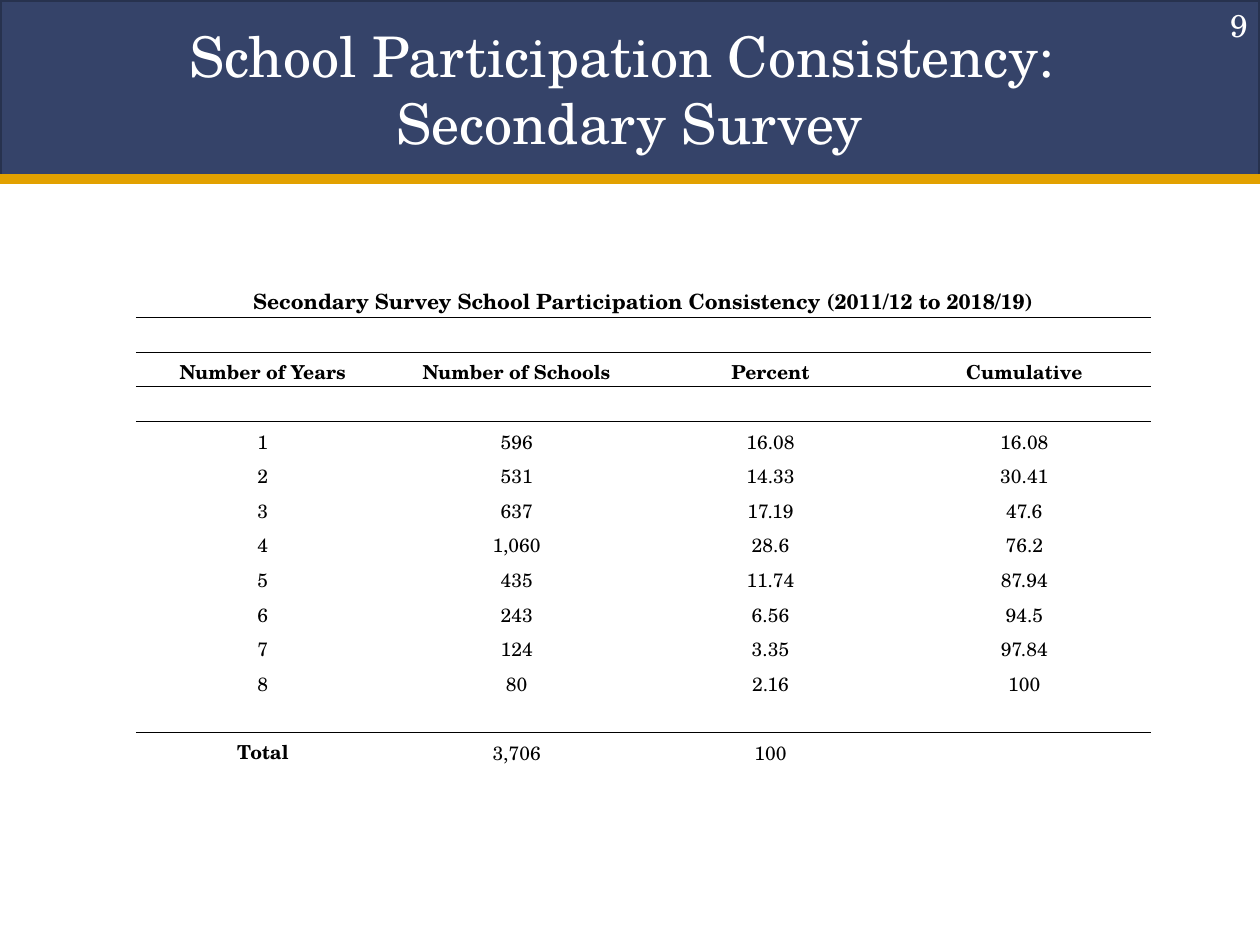
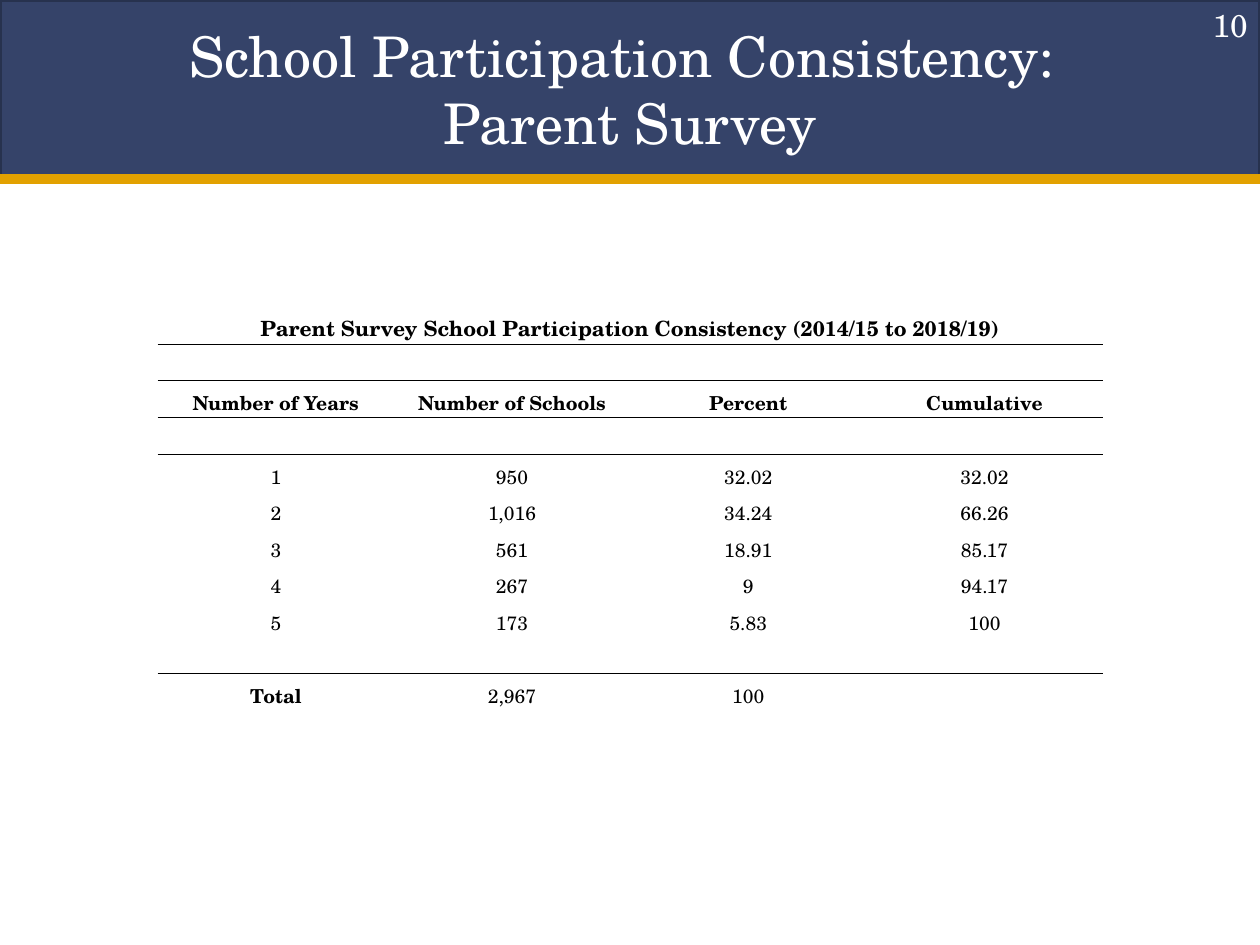
from lxml import etree
from pptx import Presentation
from pptx.dml.color import RGBColor
from pptx.enum import shapes, text
from pptx.oxml.ns import qn
from pptx.util import Cm, Pt

COLUMNS = ("Number of Years", "Number of Schools", "Percent", "Cumulative")
SURVEYS = [
    {
        "number": "9",
        "title": "School Participation Consistency: \vSecondary Survey",
        "caption": "Secondary Survey School Participation Consistency (2011/12 to 2018/19)",
        "years": [
            ("1", "596", "16.08", "16.08"),
            ("2", "531", "14.33", "30.41"),
            ("3", "637", "17.19", "47.6"),
            ("4", "1,060", "28.6", "76.2"),
            ("5", "435", "11.74", "87.94"),
            ("6", "243", "6.56", "94.5"),
            ("7", "124", "3.35", "97.84"),
            ("8", "80", "2.16", "100"),
        ],
        "total": ("Total", "3,706", "100", ""),
        "box": (2.74, 5.66, 20.47, 9.8),
    },
    {
        "number": "10",
        "title": "School Participation Consistency: \vParent Survey",
        "caption": "Parent Survey School Participation Consistency (2014/15 to 2018/19)",
        "years": [
            ("1", "950", "32.02", "32.02"),
            ("2", "1,016", "34.24", "66.26"),
            ("3", "561", "18.91", "85.17"),
            ("4", "267", "9", "94.17"),
            ("5", "173", "5.83", "100"),
        ],
        "total": ("Total", "2,967", "100", ""),
        "box": (3.18, 6.15, 19.05, 8.18),
    },
]

FONT = "TeX Gyre Schola"
NAVY = RGBColor(0x35, 0x43, 0x69)
NAVY_EDGE = RGBColor(0x27, 0x32, 0x4E)
GOLD = RGBColor(0xE2, 0xA1, 0x00)
WHITE = RGBColor(0xFF, 0xFF, 0xFF)
BLACK = RGBColor(0, 0, 0)

PAGE_WIDTH, PAGE_HEIGHT = 25.4, 19.05
BAND_HEIGHT = 3.61
TITLE_BOX = (1.27, 0.2, 22.86, 3.18)
NUMBER_BOX = (19.48, 0, 5.92, 1.02)
CAPTION_EXTRA = 0.06  # the caption row is this share taller than the others
CELL_FORMAT = {
    "margin_left": Cm(0.03),
    "margin_right": Cm(0.03),
    "margin_top": Cm(0.03),
    "margin_bottom": 0,
    "vertical_anchor": text.MSO_ANCHOR.BOTTOM,
}
NO_STYLE_NO_GRID = "{2D5ABB26-0587-4C30-8999-92F81FD0307C}"


def write(paragraph, words, align, size, color, bold=False):
    paragraph.text = words
    paragraph.alignment = align
    for run in paragraph.runs:
        formats = {"name": FONT, "size": Pt(size), "bold": bold}
        for key, value in formats.items():
            setattr(run.font, key, value)
        run.font.color.rgb = color


def add_band(slide):
    band = slide.shapes.add_shape(shapes.MSO_SHAPE.RECTANGLE, 0, 0,
                                  Cm(PAGE_WIDTH), Cm(BAND_HEIGHT))
    band.shadow.inherit = False
    band.fill.solid()
    band.fill.fore_color.rgb = NAVY
    band.line.color.rgb = NAVY_EDGE
    band.line.width = Pt(2)
    stripe = slide.shapes.add_connector(
        shapes.MSO_CONNECTOR.STRAIGHT,
        Cm(-0.05), Cm(BAND_HEIGHT), Cm(PAGE_WIDTH + 0.08), Cm(BAND_HEIGHT))
    stripe.line.color.rgb = GOLD
    stripe.line.width = Pt(6)
    etree.SubElement(stripe._element.spPr, qn("a:effectLst"))


def add_label(slide, box, words, align, size):
    frame = slide.shapes.add_textbox(*map(Cm, box)).text_frame
    frame.word_wrap = True
    frame.vertical_anchor = text.MSO_ANCHOR.MIDDLE
    write(frame.paragraphs[0], words, align, size, WHITE)


def rule_cell(cell, edge):
    """Draw a thin black border on one edge: lnT or lnB."""
    border = etree.Element(qn(f"a:{edge}"), w=str(Pt(0.5)))
    fill = etree.SubElement(border, qn("a:solidFill"))
    etree.SubElement(fill, qn("a:srgbClr"), val=str(BLACK))
    cell._tc.get_or_add_tcPr().insert(0, border)


def add_survey_table(slide, survey):
    gap = ("",) * len(COLUMNS)
    caption = (survey["caption"],) + gap[1:]
    rows = [caption, gap, COLUMNS, gap, *survey["years"], gap, survey["total"]]
    last = len(rows) - 1
    ruled_below = (0, 2, last - 1)

    left, top, width, height = survey["box"]
    table = slide.shapes.add_table(len(rows), len(COLUMNS), Cm(left), Cm(top),
                                   Cm(width), Cm(height)).table
    table.first_row = table.horz_banding = False
    table._tbl.tblPr.find(qn("a:tableStyleId")).text = NO_STYLE_NO_GRID
    for column in table.columns:
        column.width = Cm(width / len(COLUMNS))
    row_height = height / (len(rows) + CAPTION_EXTRA)

    for r, words in enumerate(rows):
        table.rows[r].height = Cm(row_height * (1 + CAPTION_EXTRA * (r == 0)))
        for c, word in enumerate(words):
            cell = table.cell(r, c)
            for key, value in CELL_FORMAT.items():
                setattr(cell, key, value)
            cell.fill.background()
            paragraph = cell.text_frame.paragraphs[0]
            if word:
                bold = r in (0, 2) or (r == last and c == 0)
                write(paragraph, word, text.PP_ALIGN.CENTER,
                      12 if r == 0 else 11, BLACK, bold)
            else:  # keeps an empty row from growing
                etree.SubElement(paragraph._p, qn("a:endParaRPr"), sz="1100")
            if r in ruled_below:
                rule_cell(cell, "lnB")
            if r - 1 in ruled_below:
                rule_cell(cell, "lnT")
    table.cell(0, 0).merge(table.cell(0, len(COLUMNS) - 1))


def main():
    deck = Presentation()
    deck.slide_width, deck.slide_height = Cm(PAGE_WIDTH), Cm(PAGE_HEIGHT)
    for survey in SURVEYS:
        slide = deck.slides.add_slide(deck.slide_layouts[6])
        add_band(slide)
        add_label(slide, TITLE_BOX, survey["title"], text.PP_ALIGN.CENTER, 32)
        add_survey_table(slide, survey)
        add_label(slide, NUMBER_BOX, survey["number"], text.PP_ALIGN.RIGHT, 18)
    deck.save("out.pptx")


if __name__ == "__main__":
    main()
